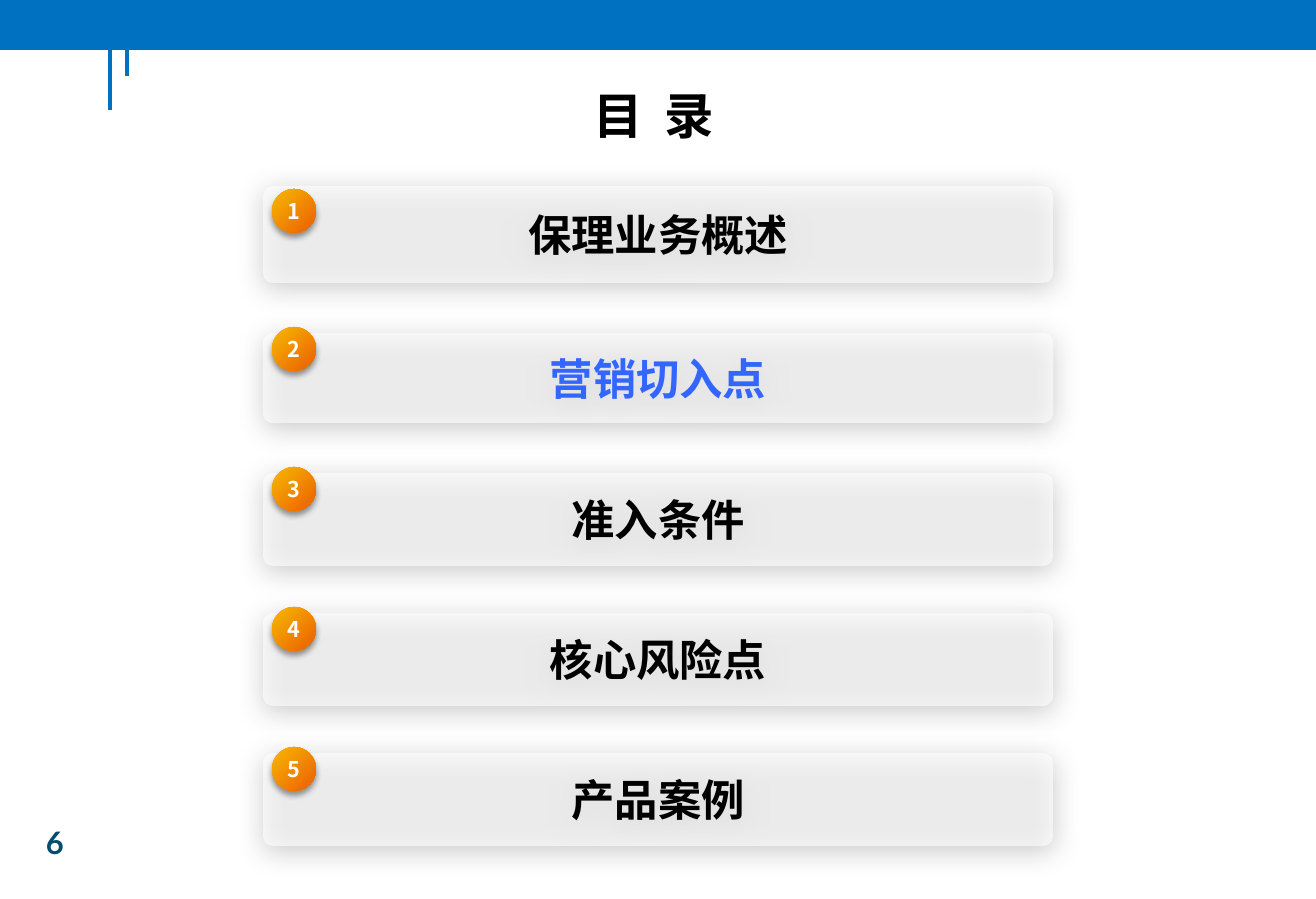
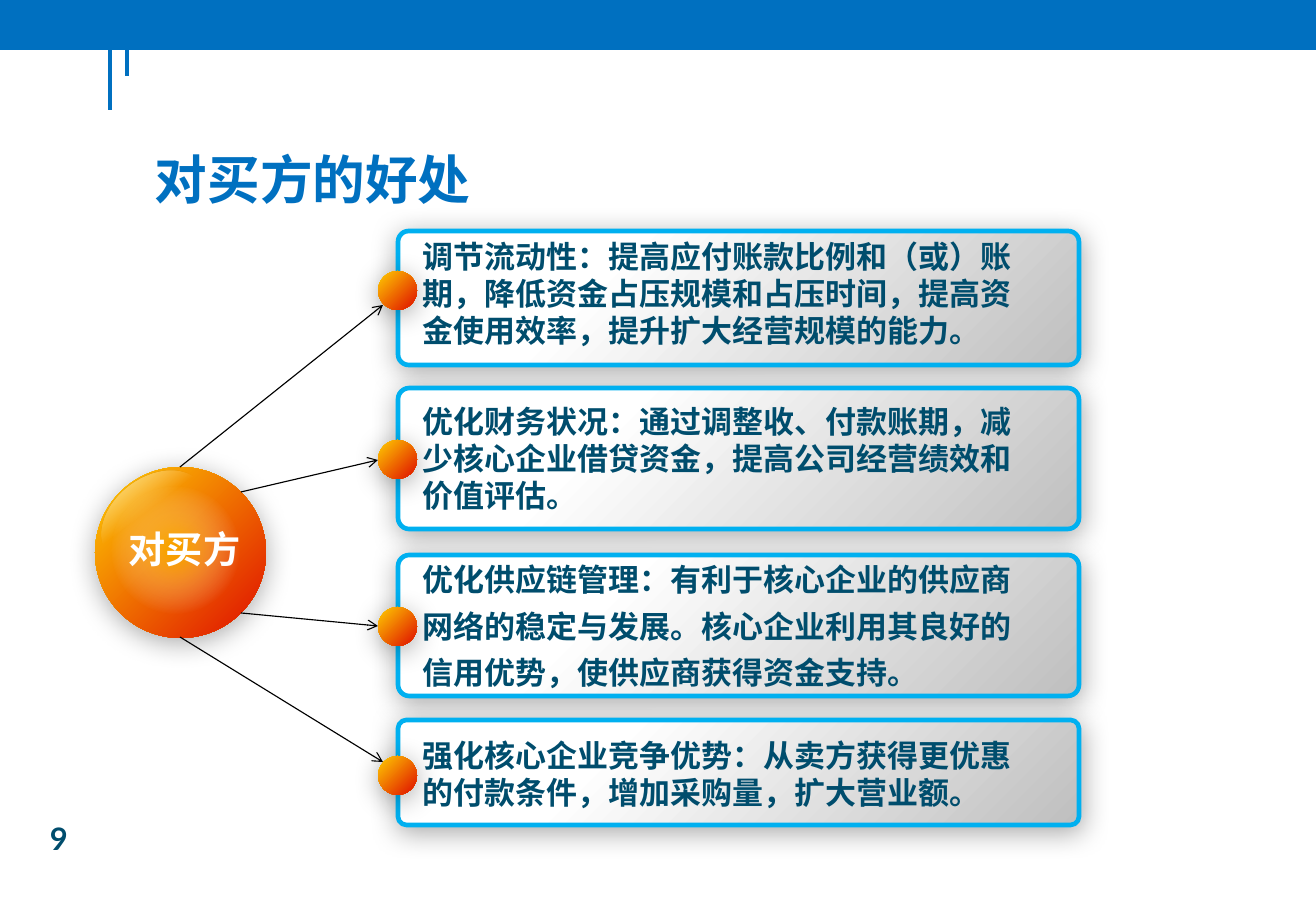
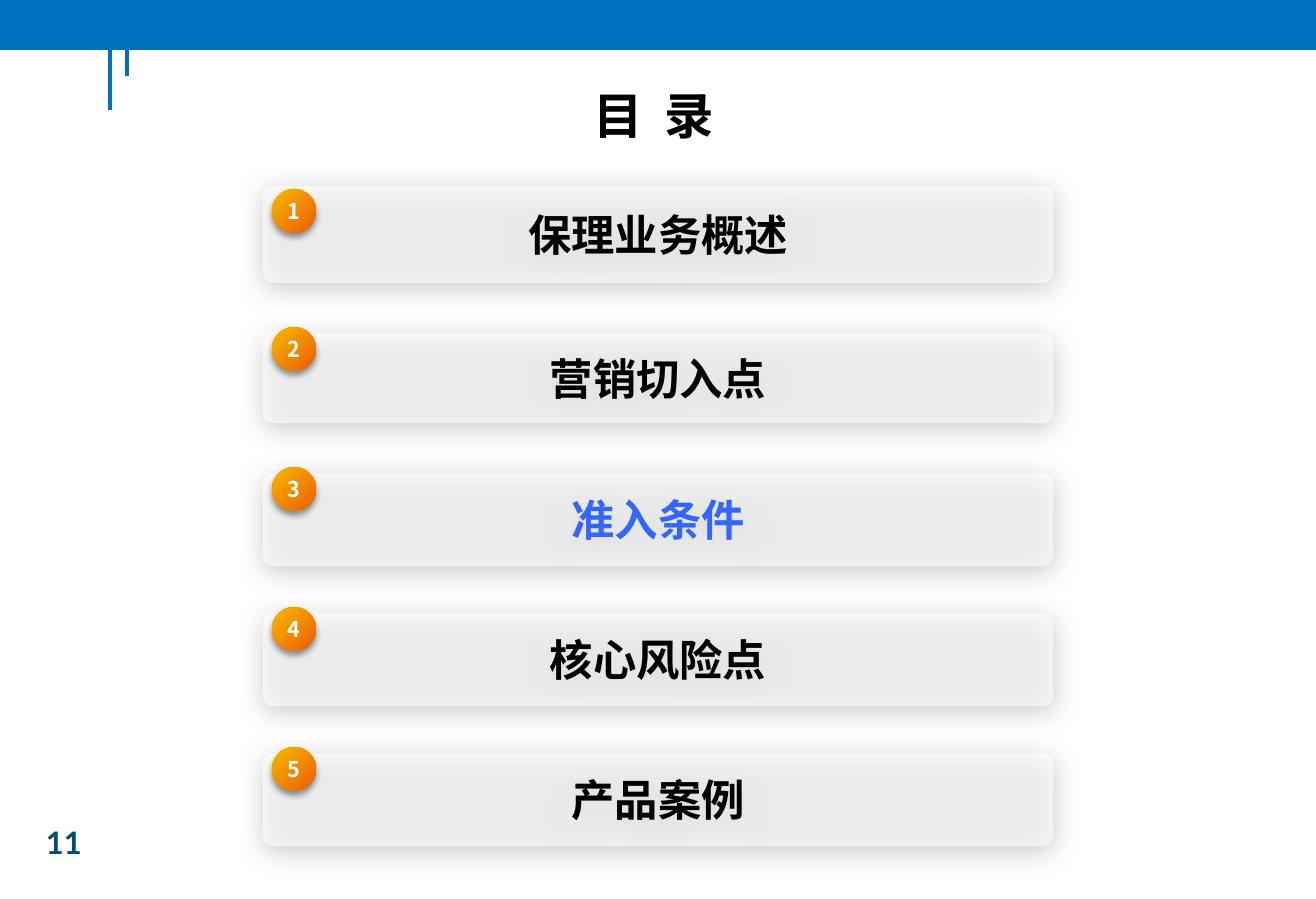
from lxml import etree
from pptx import Presentation
from pptx.dml.color import RGBColor
from pptx.enum.shapes import MSO_CONNECTOR, MSO_SHAPE
from pptx.enum.text import MSO_ANCHOR, PP_ALIGN
from pptx.oxml.ns import qn
from pptx.util import Emu, Pt

RECT, ROUND, OVAL = MSO_SHAPE.RECTANGLE, MSO_SHAPE.ROUNDED_RECTANGLE, MSO_SHAPE.OVAL
LINE = MSO_CONNECTOR.STRAIGHT
LEFT, CENTER = PP_ALIGN.LEFT, PP_ALIGN.CENTER
TOP, MIDDLE = MSO_ANCHOR.TOP, MSO_ANCHOR.MIDDLE
SCALE = 914400 / 111.4
WIDE, HIGH = 1316, 899
HAN, LATO = "Noto Sans CJK SC", "Lato"
HUE = {
    "blue": "0070C0", "edge": "00B0F0", "pick": "3366FF", "ink": "004D6D",
    "black": "000000", "white": "FFFFFF", "gray": "BFBFBF", "gold": "FFCF01",
    "red": "E22000", "amber": "F6BB00", "rust": "ED6601", "glow": "FFC000",
}
BALL = [(0, "gold", 100), (90, "red", 100)]
BADGE = [(0, "amber", 100), (90, "rust", 100)]
SILVER = [(30, "white", 100), (100, "gray", 100)]
GLOSS = [(0, "white", 100), (45, "white", 0)]
GLOW = [(10, "glow", 60), (70, "white", 0)]
SOFT = (33, 17.8, 3, 87)
NEAR = (40, 4, 3, 90)
STYLES = {
    "head": {"size": 32, "name": HAN, "hue": "black", "align": CENTER, "anchor": MIDDLE},
    "title": {"size": 34, "name": HAN, "hue": "blue", "align": LEFT, "anchor": TOP},
    "item": {"size": 28, "name": HAN, "hue": "black", "align": CENTER, "anchor": MIDDLE},
    "pick": {"size": 28, "name": HAN, "hue": "pick", "align": CENTER, "anchor": MIDDLE},
    "badge": {"size": 14, "name": HAN, "hue": "white", "align": CENTER, "anchor": MIDDLE},
    "label": {"size": 24, "name": HAN, "hue": "white", "align": CENTER, "anchor": MIDDLE},
    "body": {"size": 20, "name": LATO, "hue": "ink", "align": LEFT, "anchor": TOP},
}
ITEMS = ["保理业务概述", "营销切入点", "准入条件", "核心风险点", "产品案例"]
ROWS = [(186, 97, 3)] + [(333 + 140 * i, 90 if i == 0 else 93, -6) for i in range(4)]
PANELS = [
    (231, 134, 40, 1, 1, "调节流动性：提高应付账款比例和（或）账期，降低资金占压规模和占压时间，提高资金使用效率，提升扩大经营规模的能力。"),
    (388, 141, 52, 9, 1, "优化财务状况：通过调整收、付款账期，减少核心企业借贷资金，提高公司经营绩效和价值评估。"),
    (555, 141, 52, -9, 1.25, "优化供应链管理：有利于核心企业的供应商网络的稳定与发展。核心企业利用其良好的信用优势，使供应商获得资金支持。"),
    (720, 105, 36, 11, 1, "强化核心企业竞争优势：从卖方获得更优惠的付款条件，增加采购量，扩大营业额。"),
]
ARROWS = [
    (180, 467, 383, 305), (241, 492, 378, 460),
    (241, 613, 378, 626), (180, 637, 383, 762),
]


def px(*vals):
    return [Emu(round(val * SCALE)) for val in vals]


def rgb(hue):
    return RGBColor.from_string(HUE[hue])


def node(root, tag, **vals):
    return etree.SubElement(root, qn("a:" + tag), {key: str(val) for key, val in vals.items()})


def tint(root, hue, alpha):
    part = node(root, "srgbClr", val=HUE[hue])
    if alpha < 100:
        node(part, "alpha", val=alpha * 1000)


def blend(shape, stops, angle):
    shape.fill.background()
    props = shape.element.spPr
    grad = etree.Element(qn("a:gradFill"), {"rotWithShape": "1"})
    chain = node(grad, "gsLst")
    for spot, hue, alpha in stops:
        tint(node(chain, "gs", pos=spot * 1000), hue, alpha)
    if angle is None:
        ring = node(grad, "path", **{"path": "circle"})
        node(ring, "fillToRect", l=50000, t=50000, r=50000, b=50000)
    else:
        node(grad, "lin", ang=angle * 60000, scaled=0)
    props.replace(props.find(qn("a:noFill")), grad)


def form(slide, kind, box, fill, angle=45, alpha=100, shade=None):
    shape = slide.shapes.add_shape(kind, *px(*box))
    shape.shadow.inherit = False
    shape.line.fill.background()
    if isinstance(fill, list):
        blend(shape, fill, angle)
    else:
        shape.fill.solid()
        shape.fill.fore_color.rgb = rgb(fill)
        if alpha < 100:
            clr = shape.element.spPr.find(qn("a:solidFill"))[0]
            node(clr, "alpha", val=alpha * 1000)
    if shade:
        dark, blur, dist, turn = shade
        cast = node(shape.element.spPr.find(qn("a:effectLst")), "outerShdw",
                    blurRad=Pt(blur), dist=Pt(dist), dir=turn * 60000, rotWithShape=0)
        tint(cast, "black", dark)
    return shape


def write(shape, words, style, space=1, track=0, inset=None):
    look = STYLES[style]
    frame = shape.text_frame
    frame.word_wrap = True
    frame.vertical_anchor = look["anchor"]
    if inset is not None:
        for side in ("left", "right", "top", "bottom"):
            setattr(frame, "margin_" + side, inset)
    para = frame.paragraphs[0]
    para.alignment = look["align"]
    para.line_spacing = space
    run = para.add_run()
    run.text = words
    font = {"size": Pt(look["size"]), "name": look["name"], "bold": True}
    for key, val in font.items():
        setattr(run.font, key, val)
    run.font.color.rgb = rgb(look["hue"])
    props = run.font._element
    node(props, "ea", typeface=look["name"])
    if track:
        props.set("spc", str(track))


def text(slide, box, words, style, **opts):
    write(slide.shapes.add_textbox(*px(*box)), words, style, **opts)


def rule(slide, ends, hue, width, arrow=False):
    line = slide.shapes.add_connector(LINE, *px(*ends))
    line.line.color.rgb = rgb(hue)
    line.line.width = Pt(width)
    if arrow:
        node(line.line._ln, "tailEnd", type="arrow")
    node(line._element.spPr, "effectLst")


def base(deck, page, left, top):
    slide = deck.slides.add_slide(deck.slide_layouts[6])
    for x, foot in ((110, 110), (127, 76)):
        rule(slide, (x, 5, x, foot), "blue", 3)
    form(slide, RECT, (0, 0, WIDE, 50), "blue")
    text(slide, (left, top, 25 + 27 * len(page), 49), page, "body")
    return slide


def entry(slide, box, drop, mark, words, style):
    x, y, _, tall = box
    bar = form(slide, ROUND, box, "white", alpha=60, shade=SOFT)
    bar.adjustments[0] = round(10 / tall, 2)
    write(bar, words, style)
    badge = form(slide, OVAL, (x + 9, y + drop, 44, 44), BADGE, shade=NEAR)
    write(badge, mark, "badge", track=50, inset=0)


def agenda(deck, page, pick):
    slide = base(deck, page, 35, 818)
    text(slide, (79, 81, 1150, 68), "目 录", "head", track=350)
    for i, (y, tall, drop) in enumerate(ROWS):
        style = "pick" if i == pick else "item"
        entry(slide, (263, y, 790, tall), drop, str(i + 1), ITEMS[i], style)


def sphere(slide, box, words):
    x, y, wide, tall = box
    form(slide, OVAL, box, BALL, shade=SOFT)
    gloss = form(slide, OVAL, (x + 1, y + 11, 116, 82), GLOSS, angle=90)
    gloss.rotation = 323.1
    form(slide, OVAL, (x + 16, y + 19, 129, 129), GLOW, angle=None)
    text(slide, (x + 2, y + 54, wide + 4, 56), words, "label")


def panel(slide, box, drop, shift, space, words):
    x, y, wide, tall = box
    card = form(slide, ROUND, box, SILVER, shade=SOFT)
    card.adjustments[0] = 0.08
    card.line.color.rgb = rgb("edge")
    card.line.width = Pt(3)
    text(slide, (x + 14, y + shift, wide - 40, tall - 10), words, "body", space=space)
    form(slide, OVAL, (x - 20, y + drop, 39, 39), BALL, shade=SOFT)


def gains(deck, page):
    slide = base(deck, page, 39, 814)
    text(slide, (144, 141, 1088, 89), "对买方的好处", "title")
    sphere(slide, (95, 467, 171, 171), "对买方")
    for y, tall, *rest in PANELS:
        panel(slide, (398, y, 681, tall), *rest)
    for ends in ARROWS:
        rule(slide, ends, "black", 0.75, arrow=True)


deck = Presentation()
deck.slide_width, deck.slide_height = px(WIDE, HIGH)
agenda(deck, "6", 1)
gains(deck, "9")
agenda(deck, "11", 2)
deck.save("out.pptx")
